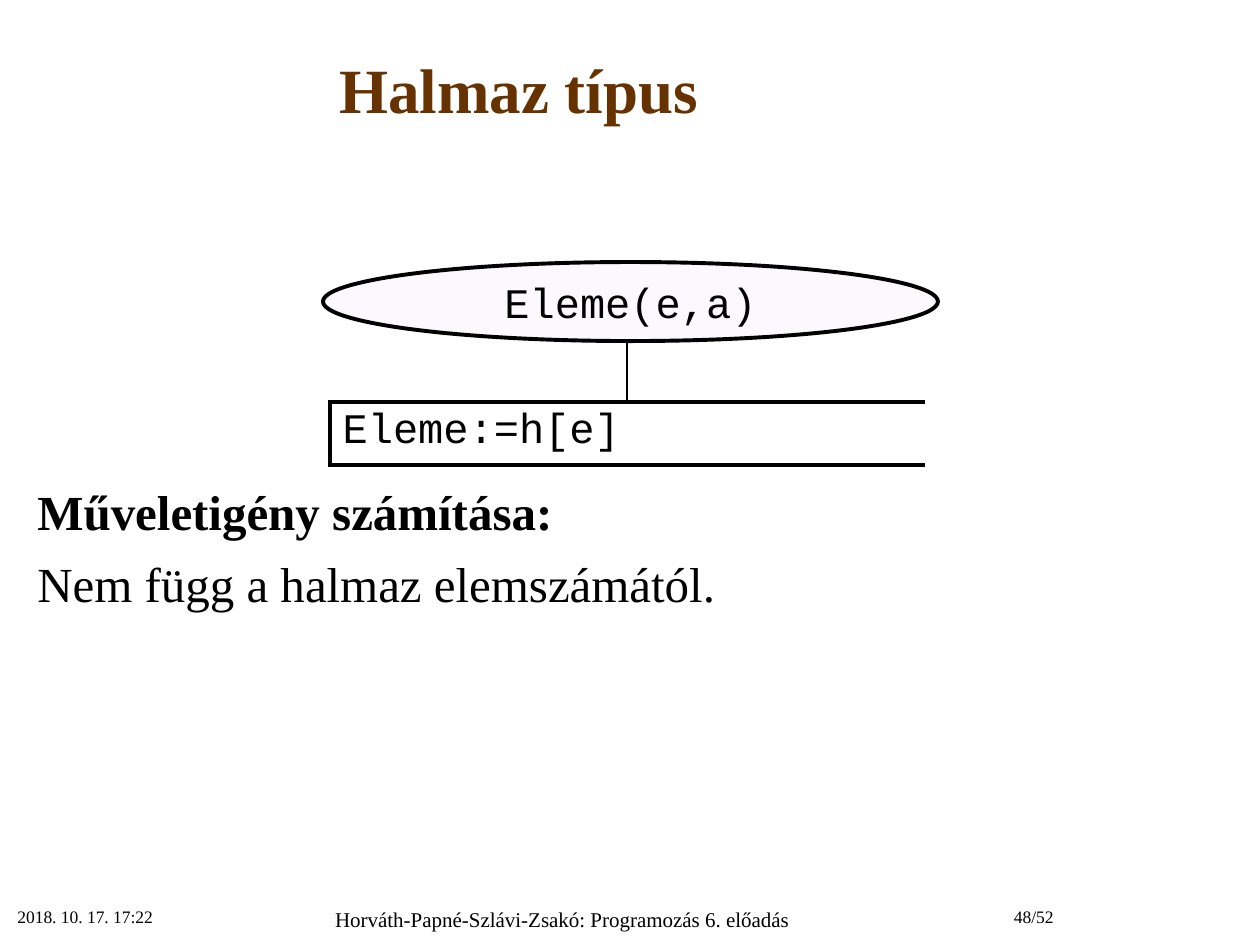
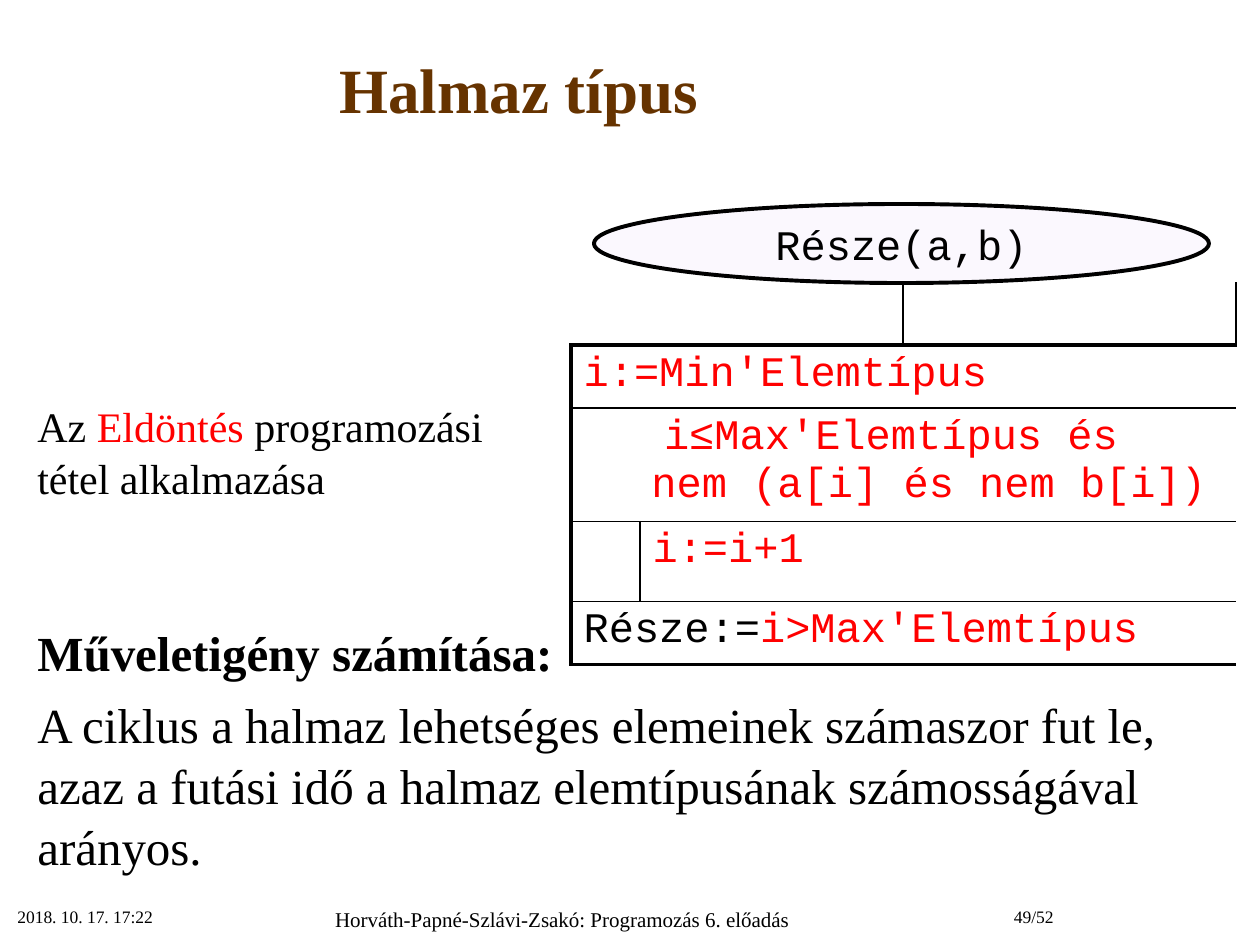
from lxml import etree
from pptx import Presentation
from pptx.dml.color import RGBColor
from pptx.enum.shapes import MSO_SHAPE as SHAPE
from pptx.enum.text import MSO_ANCHOR as ANCHOR, PP_ALIGN as ALIGN
from pptx.oxml import parse_xml
from pptx.oxml.ns import nsdecls, qn
from pptx.util import Emu, Pt

BLACK, RED, BROWN, LILAC = "000000", "FF0000", "663300", "F3E8FE"
SERIF, MONO = "Times New Roman", "Courier New"
THIN, THICK = 1, 2.25
NO_STYLE = "{2D5ABB26-0587-4C30-8999-92F81FD0307C}"
TITLE = "Halmaz típus"
DATE = "2018. 10. 17. 17:22"
LECTURE = "Horváth-Papné-Szlávi-Zsakó: Programozás 6. előadás"
COST = "Műveletigény számítása:"


def px(n):
    return Emu(round(n * 914400 / 126))


def rgb(code):
    return RGBColor.from_string(code)


def write(p, parts, size, font=SERIF, bold=False, align=ALIGN.LEFT):
    p.alignment = align
    for text, color in parts:
        for i, line in enumerate(text.split("\n")):
            if i:
                p.add_line_break()
            r = p.add_run()
            r.text = line
            r.font.name, r.font.size, r.font.bold = font, Pt(size), bold
            r.font.color.rgb = rgb(color)


def add_text(s, box, anchor=ANCHOR.TOP):
    tf = s.shapes.add_textbox(*map(px, box)).text_frame
    tf.word_wrap = True
    tf.vertical_anchor = anchor
    return tf


def add_frame(s, page):
    tf = add_text(s, (0, 11, 1037, 154), ANCHOR.MIDDLE)
    write(tf.paragraphs[0], [(TITLE, BROWN)], 36, bold=True, align=ALIGN.CENTER)
    footers = [
        (5, 262, DATE, 10, ALIGN.LEFT),
        (267, 591, LECTURE, 12, ALIGN.CENTER),
        (906, 160, page, 10, ALIGN.RIGHT),
    ]
    for x, w, text, size, align in footers:
        tf = add_text(s, (x, 900, w, 45))
        write(tf.paragraphs[0], [(text, BLACK)], size, align=align)


def add_body(s, box, paragraphs):
    tf = add_text(s, box)
    for i, (parts, size, bold, before) in enumerate(paragraphs):
        p = tf.add_paragraph() if i else tf.paragraphs[0]
        p.line_spacing = 1.04
        p.space_before = Pt(before)
        write(p, parts, size, bold=bold)


def add_border(cell, side, width):
    cell._tc.get_or_add_tcPr().append(parse_xml(
        f'<a:ln{side} {nsdecls("a")} w="{Pt(width)}"><a:solidFill>'
        f'<a:srgbClr val="{BLACK}"/></a:solidFill></a:ln{side}>'))


def add_structogram(s, x, y, cols, rows, blocks):
    gf = s.shapes.add_table(len(rows), len(cols), px(x), px(y), px(sum(cols)), px(sum(rows)))
    table = gf.table
    table.first_row = table.horz_banding = False
    table._tbl.tblPr.find(qn("a:tableStyleId")).text = NO_STYLE
    for col, w in zip(table.columns, cols):
        col.width = px(w)
    for row, h in zip(table.rows, rows):
        row.height = px(h)
    for r, c, span, (left, right, top, bottom), parts, align in blocks:
        last = c + span - 1
        for k in range(c, last + 1):
            cell = table.cell(r, k)
            sides = {"L": left if k == c else 0, "R": right if k == last else 0,
                     "T": top, "B": bottom}
            for side, width in sides.items():
                if width:
                    add_border(cell, side, width)
            cell.fill.background()
        cell = table.cell(r, c)
        if span > 1:
            cell.merge(table.cell(r, last))
        write(cell.text_frame.paragraphs[0], parts, 24, MONO, align=align)


def add_header(s, x, y, text):
    sp = s.shapes.add_shape(SHAPE.OVAL, px(x), px(y), px(615), px(79))
    sp.shadow.inherit = False
    sp.fill.solid()
    sp.fill.fore_color.rgb = rgb(LILAC)
    color = sp._element.spPr.find(qn("a:solidFill"))[0]
    etree.SubElement(color, qn("a:alpha")).set("val", "30000")
    sp.line.color.rgb = rgb(BLACK)
    sp.line.width = Pt(THICK)
    tf = sp.text_frame
    tf.word_wrap = False
    tf.vertical_anchor = ANCHOR.MIDDLE
    write(tf.paragraphs[0], [(text, BLACK)], 24, MONO, align=ALIGN.CENTER)


def stem(left_span, right_span):
    return [
        (0, 0, left_span, (0, THIN, 0, THICK), [], ALIGN.LEFT),
        (0, left_span, right_span, (THIN, 0, 0, THICK), [], ALIGN.LEFT),
    ]


def build_element_slide(s):
    add_frame(s, "48/52")
    add_body(s, (25, 473, 1235, 151), [
        ([(COST, BLACK)], 28, True, 0),
        ([("Nem függ a halmaz elemszámától.", BLACK)], 28, False, 6),
    ])
    add_structogram(s, 330, 339, [297, 298], [63, 63], stem(1, 1) + [
        (1, 0, 2, (THICK,) * 4, [("Eleme:=h[e]", BLACK)], ALIGN.LEFT),
    ])
    add_header(s, 323, 262, "Eleme(e,a)")


def build_subset_slide(s):
    add_frame(s, "49/52")
    add_body(s, (25, 392, 1235, 480), [
        ([("Az ", BLACK), ("Eldöntés", RED),
          (" programozási\ntétel alkalmazása", BLACK)], 24, False, 0),
        ([(COST, BLACK)], 28, True, 67),
        ([("A ciklus a halmaz lehetséges elemeinek számaszor fut le, azaz a futási idő "
           "a halmaz elemtípusának számosságával arányos.", BLACK)], 28, False, 6),
    ])
    add_structogram(s, 571, 282, [69, 263, 333], [63, 63, 113, 80, 63], stem(2, 1) + [
        (1, 0, 3, (THICK, THICK, THICK, THIN), [("i:=Min'Elemtípus", RED)], ALIGN.LEFT),
        (2, 0, 3, (THICK, THICK, THIN, 0),
         [("i≤Max'Elemtípus és \n  nem (a[i] és nem b[i])", RED)], ALIGN.CENTER),
        (3, 0, 1, (THICK, THIN, 0, THIN), [], ALIGN.LEFT),
        (3, 1, 2, (THIN, THICK, THIN, THIN), [("i:=i+1", RED)], ALIGN.LEFT),
        (4, 0, 3, (THICK, THICK, THIN, THICK),
         [("Része:=", BLACK), ("i>Max'Elemtípus", RED)], ALIGN.LEFT),
    ])
    add_header(s, 594, 204, "Része(a,b)")


def main():
    prs = Presentation()
    prs.slide_width, prs.slide_height = px(1260), px(945)
    for build in (build_element_slide, build_subset_slide):
        build(prs.slides.add_slide(prs.slide_layouts[6]))
    prs.save("out.pptx")


if __name__ == "__main__":
    main()
